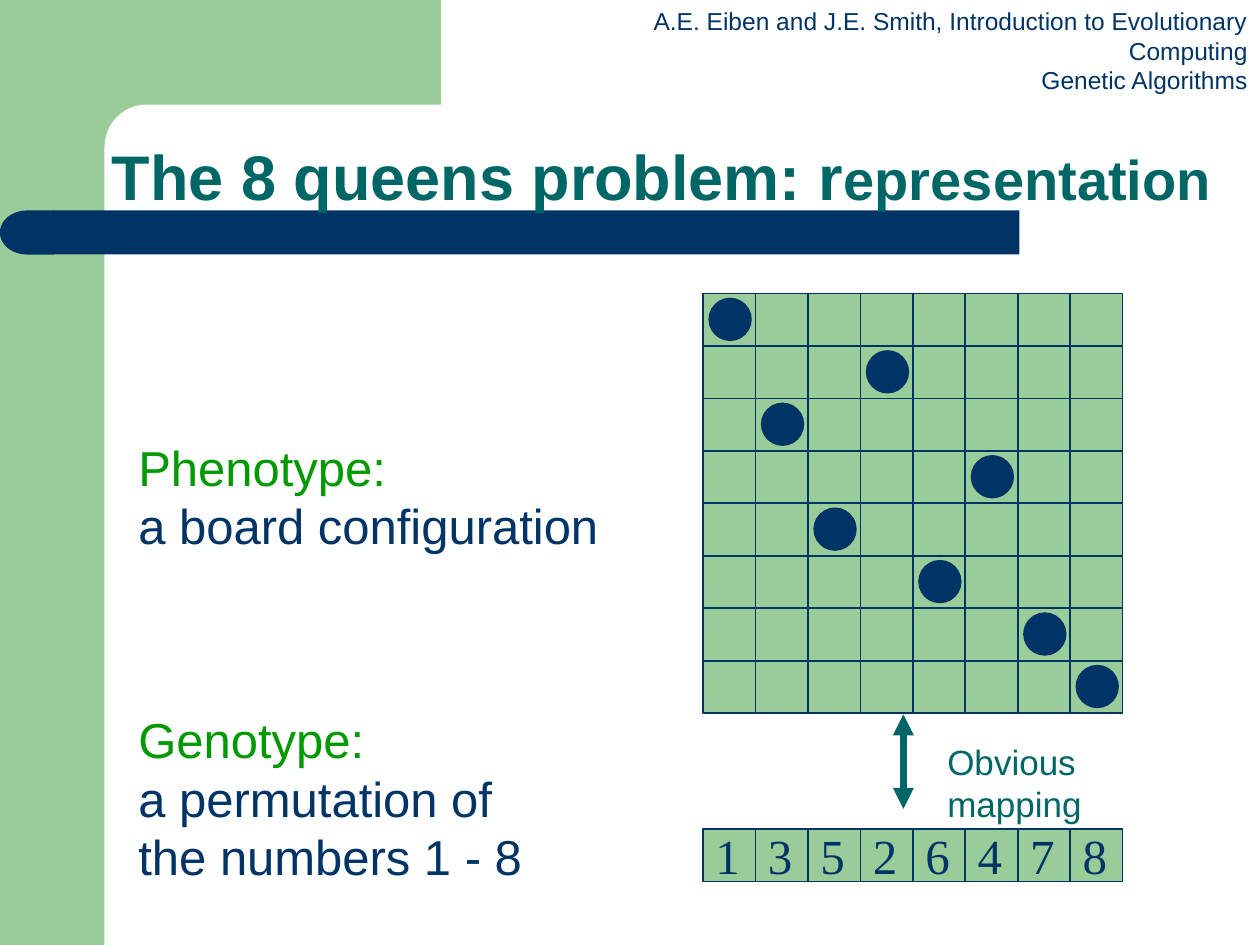
from lxml import etree
from pptx import Presentation
from pptx.dml.color import RGBColor
from pptx.enum.shapes import MSO_CONNECTOR, MSO_SHAPE
from pptx.enum.text import MSO_ANCHOR, MSO_AUTO_SIZE, PP_ALIGN
from pptx.oxml.ns import qn
from pptx.util import Inches, Pt

RECT, ROUND = MSO_SHAPE.RECTANGLE, MSO_SHAPE.ROUNDED_RECTANGLE
OVAL, DELAY = MSO_SHAPE.OVAL, MSO_SHAPE.FLOWCHART_DELAY
STRAIGHT = MSO_CONNECTOR.STRAIGHT
LEFT, CENTER, RIGHT = PP_ALIGN.LEFT, PP_ALIGN.CENTER, PP_ALIGN.RIGHT
MIDDLE = MSO_ANCHOR.MIDDLE
GROW = MSO_AUTO_SIZE.SHAPE_TO_FIT_TEXT

NAVY, TEAL, SAGE, GREEN, WHITE = "003366", "006666", "99CC99", "009900", "FFFFFF"
GENES = [1, 3, 5, 2, 6, 4, 7, 8]
BOARD_X, BOARD_Y, ROW_Y = 5.58, 2.33, 6.58
CELL = 3.33 / 8


def color(code):
    return RGBColor.from_string(code)


def add_form(slide, kind, x, y, w, h, fill, line=None):
    form = slide.shapes.add_shape(kind, Inches(x), Inches(y), Inches(w), Inches(h))
    form.shadow.inherit = False
    form.fill.solid()
    form.fill.fore_color.rgb = color(fill)
    if line:
        form.line.color.rgb = color(line)
        form.line.width = Pt(1)
    else:
        form.line.fill.background()
    return form


def add_text(slide, x, y, w, h, lines, size, align=LEFT, font="Arial", wrap=False):
    box = slide.shapes.add_textbox(Inches(x), Inches(y), Inches(w), Inches(h))
    frame = box.text_frame
    frame.word_wrap = wrap
    if not wrap:
        frame.auto_size = GROW
    frame.text = "\n".join(text for text, _ in lines)
    for para, (_, code) in zip(frame.paragraphs, lines):
        para.alignment = align
        for run in para.runs:
            run.font.name = font
            run.font.size = Pt(size)
            run.font.color.rgb = color(code)
    return frame


def add_arrow(slide, x, top, end):
    arrow = slide.shapes.add_connector(
        STRAIGHT, Inches(x), Inches(top), Inches(x), Inches(end))
    arrow.line.color.rgb = color(TEAL)
    arrow.line.width = Pt(4)
    line = arrow.line._get_or_add_ln()
    for tag in ("a:headEnd", "a:tailEnd"):
        etree.SubElement(line, qn(tag), type="triangle")
    etree.SubElement(arrow._element.spPr, qn("a:effectLst"))


def add_frame(slide):
    add_form(slide, RECT, 0, 0, 0.83, 7.5, SAGE)
    add_form(slide, RECT, 0.75, 0, 2.75, 1.17, SAGE)
    panel = add_form(slide, ROUND, 0.83, 0.83, 5.58, 0.67, WHITE)
    panel.adjustments[0] = 0.5
    add_form(slide, RECT, 0.42, 1.67, 7.67, 0.35, NAVY)
    cap = add_form(slide, DELAY, 0, 1.67, 0.43, 0.35, NAVY)
    cap._element.spPr.xfrm.set("flipH", "1")


def add_title(slide):
    frame = add_text(slide, 0.79, 0.83, 9.21, 0.83,
                     [("The 8 queens problem: r", TEAL)], 36, wrap=True)
    frame.vertical_anchor = MIDDLE
    para = frame.paragraphs[0]
    para.line_spacing = 1.5
    tail = para.add_run()
    tail.text = "epresentation"
    tail.font.name = "Arial"
    tail.font.size = Pt(32)
    tail.font.color.rgb = color(TEAL)
    for run in para.runs:
        run.font.bold = True


def add_cell(slide, col, y):
    add_form(slide, RECT, BOARD_X + col * CELL, y, CELL, CELL, SAGE, NAVY)


def add_board(slide):
    for row in range(8):
        for col in range(8):
            add_cell(slide, col, BOARD_Y + row * CELL)
    for col, gene in enumerate(GENES):
        add_form(slide, OVAL, BOARD_X + col * CELL + 0.05,
                 BOARD_Y + (gene - 1) * CELL + 0.04, 0.33, 0.33, NAVY, NAVY)


def add_genes(slide):
    for col in range(8):
        add_cell(slide, col, ROW_Y)
    for col, gene in enumerate(GENES):
        add_text(slide, BOARD_X + col * CELL, 6.5, 0.39, 0.56,
                 [(str(gene), NAVY)], 28, CENTER, "Times New Roman")


def main():
    deck = Presentation()
    deck.slide_width, deck.slide_height = Inches(10), Inches(7.5)
    slide = deck.slides.add_slide(deck.slide_layouts[6])
    add_frame(slide)
    add_text(slide, 4.12, 0, 5.88, 0.57, [
        ("A.E. Eiben and J.E. Smith, Introduction to Evolutionary Computing", NAVY),
        ("Genetic Algorithms", NAVY)], 14, RIGHT, wrap=True)
    add_title(slide)
    add_genes(slide)
    add_text(slide, 1, 5.58, 3.25, 1.5, [
        ("Genotype:", GREEN), ("a permutation of", NAVY),
        ("the numbers 1 - 8", NAVY)], 28)
    add_text(slide, 1, 3.42, 3.97, 1.03, [
        ("Phenotype:", GREEN), ("a board configuration", NAVY)], 28)
    add_board(slide)
    add_arrow(slide, 7.17, 5.67, 6.42)
    add_text(slide, 7.42, 5.83, 2.36, 0.43, [("Obvious mapping", TEAL)], 20)
    deck.save("out.pptx")


if __name__ == "__main__":
    main()
